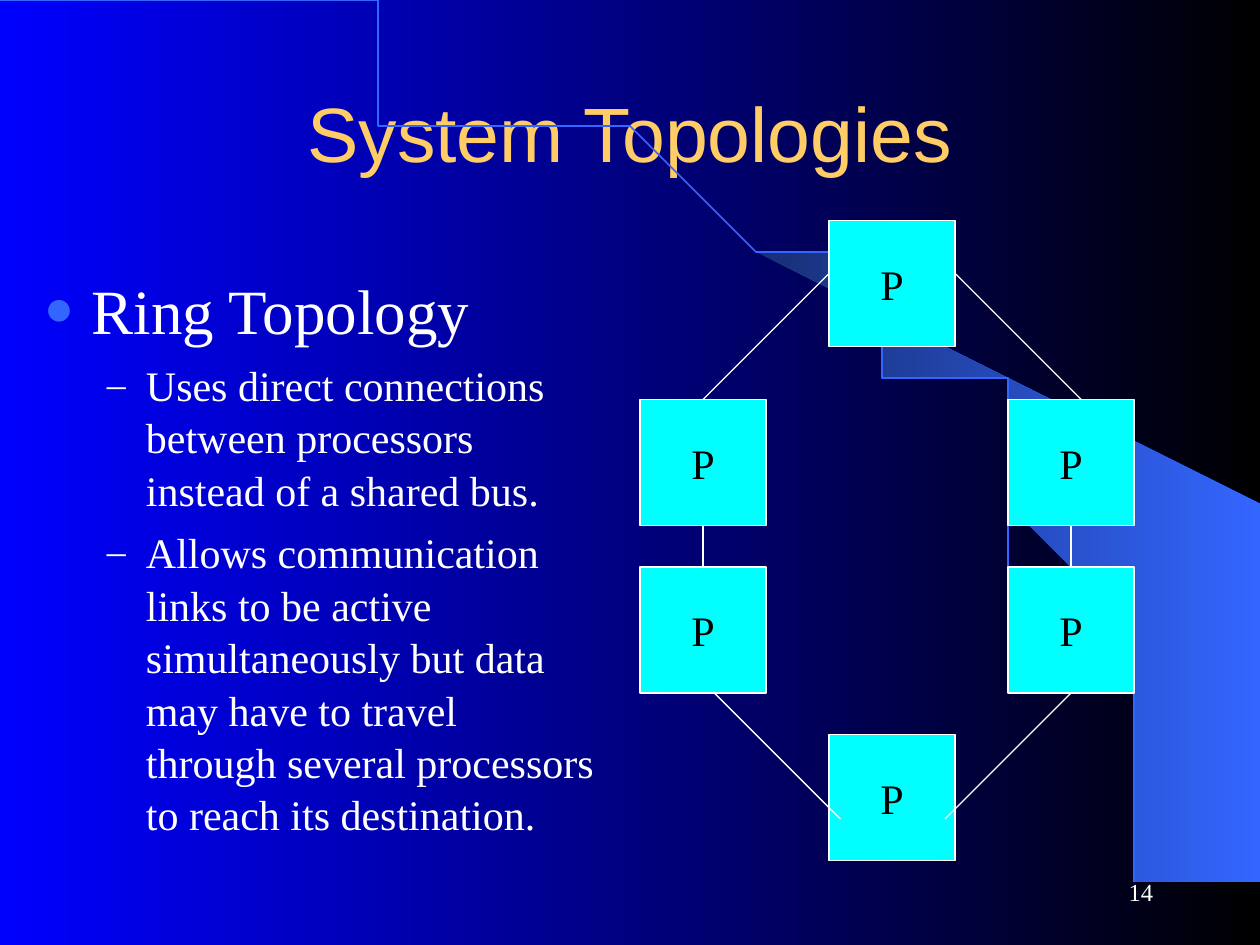
"""Build the ring topology slide."""
import pptx
import pptx.util
import pptx.dml.color
import pptx.enum.shapes
import pptx.enum.text
import pptx.oxml
import pptx.oxml.ns
import lxml.etree

Inches = pptx.util.Inches
Pt = pptx.util.Pt
RGBColor = pptx.dml.color.RGBColor
Align = pptx.enum.text.PP_ALIGN
Middle = pptx.enum.text.MSO_ANCHOR.MIDDLE

BLUE = RGBColor(0x00, 0x00, 0xFF)
BLACK = RGBColor(0x00, 0x00, 0x00)
WHITE = RGBColor(0xFF, 0xFF, 0xFF)
CYAN = RGBColor(0x00, 0xFF, 0xFF)
GOLD = RGBColor(0xFF, 0xCC, 0x66)
SKY = RGBColor(0x33, 0x66, 0xFF)
NAVY = RGBColor(0x18, 0x2F, 0x76)
SERIF = "Times New Roman"

WEDGE = [(9.2, 7.48), (9.99, 7.49), (9.99, 4.23), (5.89, 1.73), (6.24, 1.99),
         (6.53, 2.22), (6.85, 2.5), (7.16, 2.8), (7.62, 3.3), (8.03, 3.84),
         (8.32, 4.31), (8.58, 4.79), (8.78, 5.28), (8.93, 5.72), (9.03, 6.09),
         (9.13, 6.56), (9.17, 6.96)]
NODES = {"top": (6.58, 1.75), "right_up": (8, 3.17), "right_low": (8, 4.5),
         "left_up": (5.08, 3.17), "left_low": (5.08, 4.5), "base": (6.58, 5.83)}
LINKS = [((6.58, 2.17), (5.58, 3.17), None, ("left_up", 0)),
         ((8.5, 5.5), (7.5, 6.5), ("right_low", 2), None),
         ((5.58, 4.17), (5.58, 4.5), ("left_up", 2), ("left_low", 0)),
         ((8.5, 4.17), (8.5, 4.5), ("right_up", 2), ("right_low", 0)),
         ((7.58, 2.17), (8.58, 3.17), None, None),
         ((5.67, 5.5), (6.67, 6.5), None, None)]
HEAD = dict(mark="●", tint=SKY, scale=80, left=0.38, hang=0.38, before=0, size=36)
ITEM = dict(mark="–", tint=WHITE, scale=90, left=0.81, hang=0.31, before=6, size=24)
POINTS = [
    ("Ring Topology", 0, HEAD),
    ("Uses direct connections between processors instead of a shared bus.", 1, ITEM),
    ("Allows communication links to be active simultaneously but data may have "
     "to travel through several processors to reach its destination.", 1, ITEM),
]


def curve(a, b, c, d, count=60):
    """Return points along a cubic curve."""
    steps = [i / count for i in range(count + 1)]
    return [tuple((1 - t) ** 3 * p + 3 * (1 - t) ** 2 * t * q
                  + 3 * (1 - t) * t ** 2 * r + t ** 3 * s
                  for p, q, r, s in zip(a, b, c, d)) for t in steps]


class Deck:
    """Hold the style and the current slide."""

    def __init__(self):
        """Start a deck with one slide."""
        self.file = pptx.Presentation()
        self.file.slide_width, self.file.slide_height = Inches(10), Inches(7.5)
        self.slide = self.file.slides.add_slide(self.file.slide_layouts[5])
        self.shapes = self.slide.shapes
        self.shade(self.slide.background.fill, BLUE, BLACK)

    def shade(self, fill, start, end):
        """Fill from left to right with two colours."""
        fill.gradient()
        fill.gradient_angle = 0
        for stop, tint in zip(fill.gradient_stops, (start, end)):
            stop.color.rgb = tint

    def words(self, para, text, size, tint, face=SERIF):
        """Add one formatted run."""
        run = para.add_run()
        run.text = text
        for key, value in dict(size=Pt(size), name=face).items():
            setattr(run.font, key, value)
        run.font.color.rgb = tint

    def label(self, shape, text, align, size, tint, face=SERIF, wrap=True):
        """Put one line of text in a shape."""
        frame = shape.text_frame
        for key, value in dict(word_wrap=wrap, vertical_anchor=Middle).items():
            setattr(frame, key, value)
        para = frame.paragraphs[0]
        para.alignment = align
        self.words(para, text, size, tint, face)

    def title(self, text, *box):
        """Place the title."""
        shape = self.shapes.title
        for key, value in zip(("left", "top", "width", "height"), box):
            setattr(shape, key, Inches(value))
        self.label(shape, text, Align.CENTER, 44, GOLD, "Arial")

    def number(self, text, *box):
        """Place the page number."""
        shape = self.shapes.add_textbox(*map(Inches, box))
        self.label(shape, text, Align.RIGHT, 14, WHITE)

    def outline(self, points, closed):
        """Draw a free outline."""
        first, *rest = points
        form = self.shapes.build_freeform(*first, scale=Inches(1))
        form.add_line_segments(rest, close=closed)
        shape = form.convert_to_shape()
        shape.shadow.inherit = False
        return shape

    def wedge(self, points):
        """Draw the shaded wedge."""
        shape = self.outline(points, True)
        self.shade(shape.fill, NAVY, SKY)
        shape.line.fill.background()

    def arc(self, points):
        """Draw the sweeping arc."""
        shape = self.outline(points, False)
        shape.fill.background()
        self.stroke(shape.line, SKY, 1)

    def stroke(self, line, tint, width):
        """Style a line."""
        line.color.rgb = tint
        line.width = Pt(width)

    def bullet(self, para, style):
        """Give a paragraph its bullet and indent."""
        props = para._p.get_or_add_pPr()
        props.set("marL", str(Inches(style["left"])))
        props.set("indent", str(-Inches(style["hang"])))
        qn = pptx.oxml.ns.qn
        color = lxml.etree.SubElement(props, qn("a:buClr"))
        lxml.etree.SubElement(color, qn("a:srgbClr"), val=str(style["tint"]))
        lxml.etree.SubElement(props, qn("a:buSzPct"), val=str(style["scale"] * 1000))
        lxml.etree.SubElement(props, qn("a:buFont"), typeface=SERIF)
        lxml.etree.SubElement(props, qn("a:buChar"), char=style["mark"])

    def body(self, points, *box):
        """Place the bulleted text."""
        frame = self.shapes.add_textbox(*map(Inches, box)).text_frame
        frame.word_wrap = True
        for i, (text, level, style) in enumerate(points):
            para = frame.add_paragraph() if i else frame.paragraphs[0]
            self.bullet(para, style)
            form = dict(level=level, space_before=Pt(style["before"]), line_spacing=1.04)
            for key, value in form.items():
                setattr(para, key, value)
            self.words(para, text, style["size"], WHITE)

    def node(self, left, top):
        """Draw one processor."""
        kind = pptx.enum.shapes.MSO_SHAPE.RECTANGLE
        shape = self.shapes.add_shape(kind, *map(Inches, (left, top, 1, 1)))
        shape.shadow.inherit = False
        shape.fill.solid()
        shape.fill.fore_color.rgb = CYAN
        self.stroke(shape.line, WHITE, 0.75)
        self.label(shape, "P", Align.CENTER, 24, BLACK, wrap=False)
        return shape

    def link(self, start, end, tail, head, nodes):
        """Draw one link, joined where it meets a side's middle."""
        kind = pptx.enum.shapes.MSO_CONNECTOR.STRAIGHT
        line = self.shapes.add_connector(kind, *map(Inches, start + end))
        self.stroke(line.line, WHITE, 0.75)
        props = line._element.spPr
        lxml.etree.SubElement(props, pptx.oxml.ns.qn("a:effectLst"))
        for join, spot in ((line.begin_connect, tail), (line.end_connect, head)):
            if spot:
                join(nodes[spot[0]], spot[1])


def main():
    """Build and save the slide."""
    deck = Deck()
    deck.wedge(WEDGE)
    deck.arc(curve((0, 0), (5.08, 0), (9.2, 3.35), (9.2, 7.49)))
    deck.number("14", 7.17, 6.83, 2.08, 0.5)
    deck.title("System Topologies", 0.75, 0.42, 8.5, 1.25)
    deck.body(POINTS, 0.25, 2.08, 4.58, 4.5)
    nodes = {name: deck.node(*spot) for name, spot in NODES.items()}
    for link in LINKS:
        deck.link(*link, nodes)
    deck.file.save("out.pptx")


if __name__ == "__main__":
    main()
